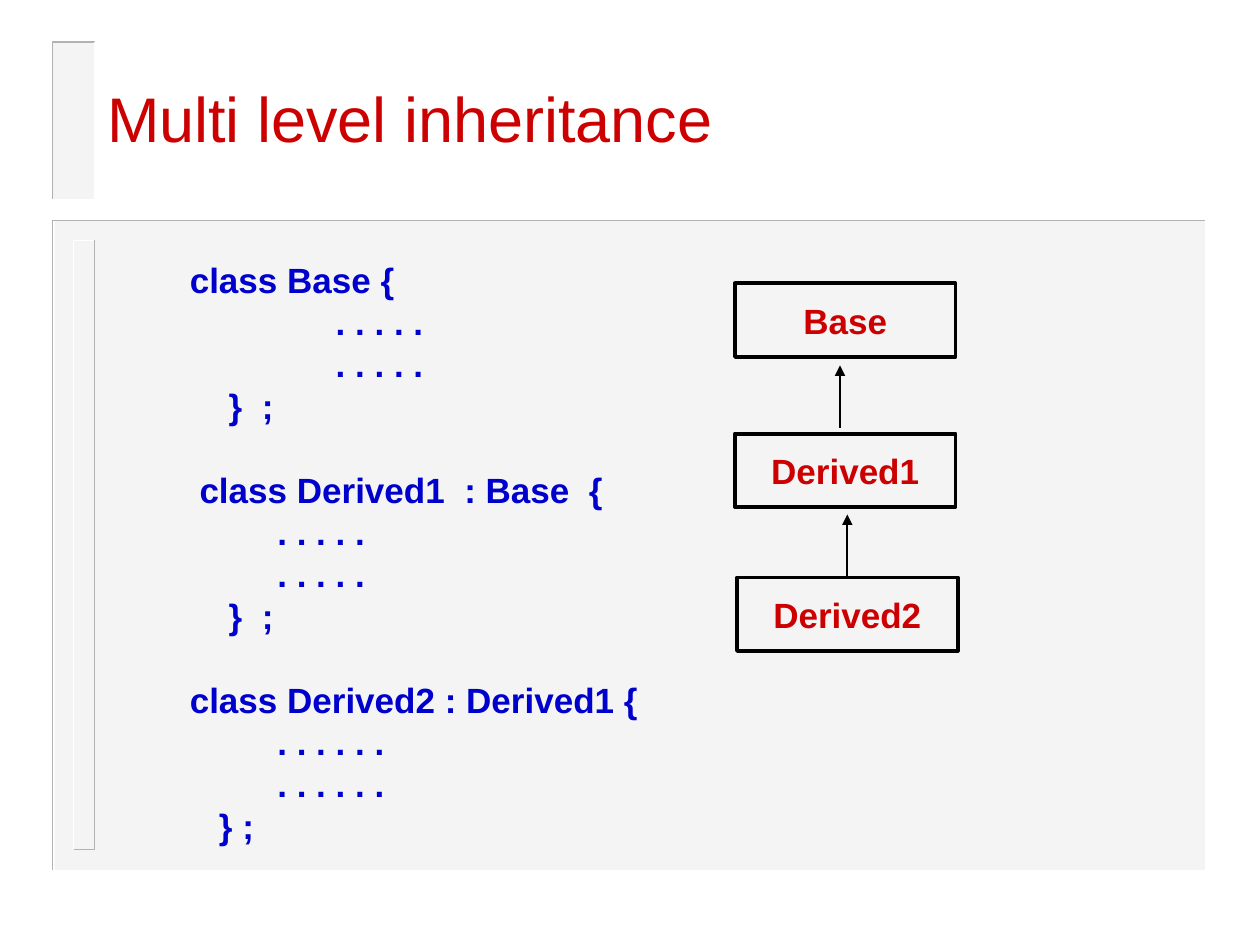
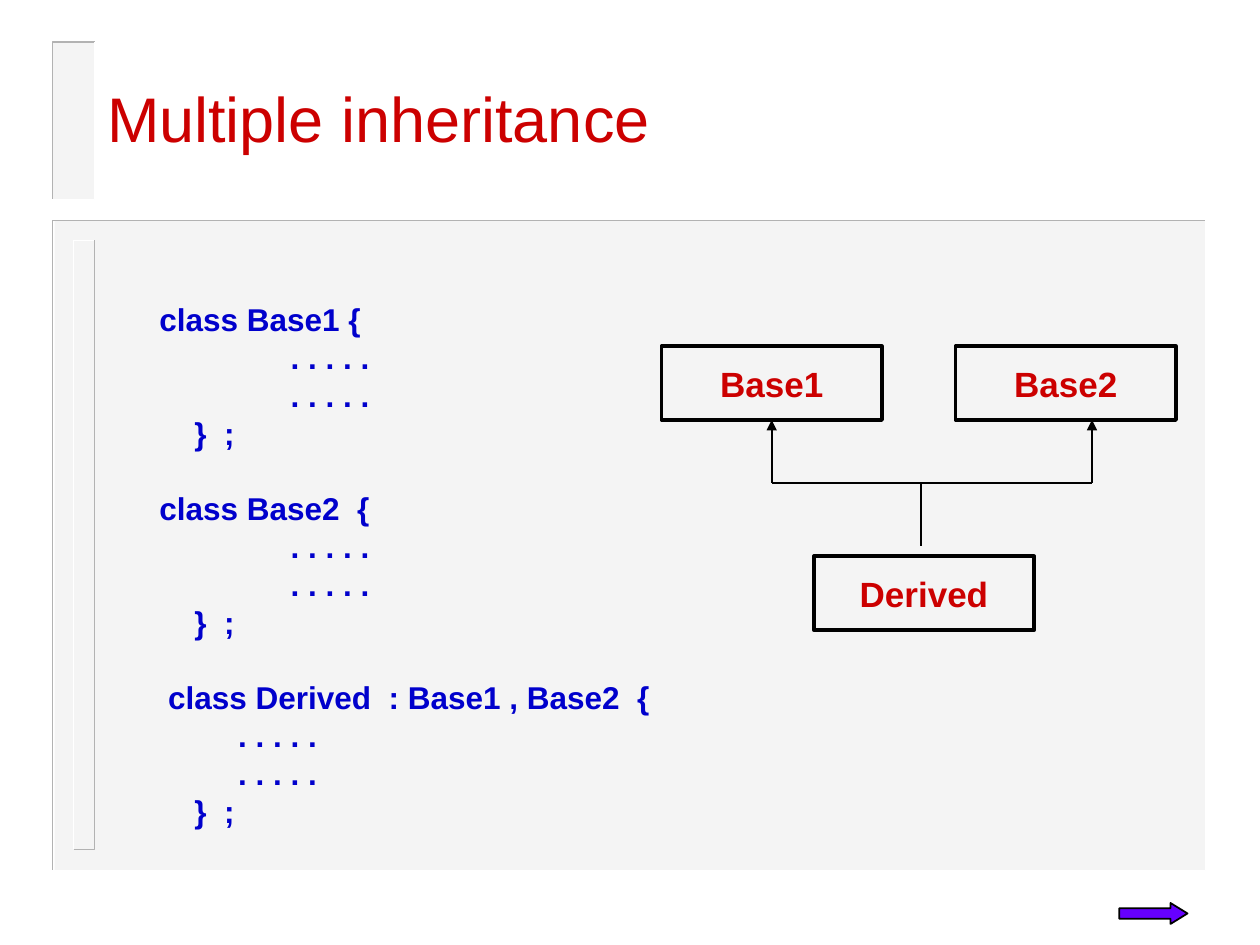
"""Build two slides on multi level and multiple inheritance."""
from lxml.etree import SubElement
from pptx import Presentation
from pptx.dml.color import RGBColor
from pptx.enum.shapes import MSO_CONNECTOR, MSO_SHAPE
from pptx.enum.text import MSO_ANCHOR, MSO_AUTO_SIZE, PP_ALIGN
from pptx.oxml.ns import qn
from pptx.util import Pt

SCALE = 7620
FONT = "Arial"
RED, BLUE, BLACK, WHITE = "CC0000", "0000CC", "000000", "FFFFFF"
PANEL, EDGE, VIOLET = "EAEAEA", "B2B2B2", "6600FF"
TOP, BOTTOM = 0, 2
SPACE_WIDTH = 0.278
LINE_HEIGHT = 1.2


def px(*lengths):
    return [length * SCALE for length in lengths]


def paint(color_format, hex_color):
    color_format.rgb = RGBColor.from_string(hex_color)


class Deck:
    def __init__(self):
        self.presentation = Presentation()
        self.presentation.slide_width, self.presentation.slide_height = px(1200, 900)
        self.slide = None

    def start_slide(self, heading):
        self.slide = self.presentation.slides.add_slide(self.presentation.slide_layouts[5])
        self.panel(52, 210, 1096, 619)
        self.bevel(50, 210, 1148, 829, EDGE, WHITE)
        self.bevel(70, 229, 90, 809, WHITE, EDGE)
        self.panel(50, 40, 40, 150)
        self.bevel(50, 40, 90, 190, EDGE, WHITE)
        title = self.slide.shapes.title
        title.left, title.top, title.width, title.height = px(90, 37, 1110, 150)
        frame = title.text_frame
        frame.auto_size = MSO_AUTO_SIZE.NONE
        frame.vertical_anchor = MSO_ANCHOR.MIDDLE
        frame.paragraphs[0].alignment = PP_ALIGN.LEFT
        self.add_words(frame.paragraphs[0], heading, 36, RED, False)

    def add_words(self, paragraph, words, size, color, bold=True):
        run = paragraph.add_run()
        run.text = words
        run.font.name = FONT
        run.font.size = Pt(size)
        run.font.bold = bold
        paint(run.font.color, color)

    def stroke(self, line, color, width):
        paint(line.color, color)
        line.width = Pt(width)

    def shape(self, preset, left, top, width, height, fill=None):
        shape = self.slide.shapes.add_shape(preset, *px(left, top, width, height))
        shape.shadow.inherit = False
        if fill:
            shape.fill.solid()
            paint(shape.fill.fore_color, fill)
        else:
            shape.fill.background()
        return shape

    def panel(self, left, top, width, height):
        panel = self.shape(MSO_SHAPE.RECTANGLE, left, top, width, height, PANEL)
        panel.line.fill.background()
        tint = panel._element.spPr.find(".//" + qn("a:srgbClr"))
        SubElement(tint, qn("a:alpha"), val="50000")

    def bevel(self, left, top, right, bottom, upper_color, lower_color):
        for corner, color in (((left, top), upper_color), ((right, bottom), lower_color)):
            builder = self.slide.shapes.build_freeform(right, top, scale=SCALE)
            builder.add_line_segments([corner, (left, bottom)], close=False)
            edge = builder.convert_to_shape()
            edge.shadow.inherit = False
            edge.fill.background()
            self.stroke(edge.line, color, 1)

    def class_box(self, name, left, top):
        box = self.shape(MSO_SHAPE.RECTANGLE, left, top, 210, 70)
        self.stroke(box.line, BLACK, 2.25)
        frame = box.text_frame
        frame.word_wrap = False
        frame.vertical_anchor = MSO_ANCHOR.MIDDLE
        frame.paragraphs[0].alignment = PP_ALIGN.CENTER
        self.add_words(frame.paragraphs[0], name, 20, RED)
        return box

    def link(self, start, end, arrow=False):
        link = self.slide.shapes.add_connector(MSO_CONNECTOR.STRAIGHT, *px(*start, *end))
        self.stroke(link.line, BLACK, 1)
        properties = link._element.spPr
        if arrow:
            SubElement(properties.find(qn("a:ln")), qn("a:headEnd"), type="triangle")
        SubElement(properties, qn("a:effectLst"))
        return link

    def code(self, left, top, width, height, size, classes):
        listing = self.slide.shapes.add_textbox(*px(left, top, width, height))
        frame = listing.text_frame
        frame.word_wrap = True
        paragraph = frame.paragraphs[0]
        pitch = Pt(size * LINE_HEIGHT)
        for number, (header, members, closing) in enumerate(classes):
            for row, (indent, words) in enumerate((header, members, members, closing)):
                if number or row:
                    paragraph = frame.add_paragraph()
                paragraph.line_spacing = pitch
                paragraph.space_before = pitch if number and row == 0 else Pt(0)
                margin = Pt(indent * SPACE_WIDTH * size)
                paragraph._p.get_or_add_pPr().set("marL", str(margin))
                self.add_words(paragraph, words, size, BLUE)

    def next_arrow(self):
        arrow = self.shape(MSO_SHAPE.RIGHT_ARROW, 1066, 860, 65, 20, VIOLET)
        arrow.adjustments[0], arrow.adjustments[1] = 0.5, 0.81
        self.stroke(arrow.line, BLACK, 1)


def multi_level(deck):
    deck.start_slide("Multi level inheritance")
    deck.class_box("Base", 700, 270)
    deck.class_box("Derived1", 700, 413)
    derived2 = deck.class_box("Derived2", 702, 550)
    deck.link((800, 348), (800, 408), arrow=True)
    deck.link((807, 490), (807, 550), arrow=True).end_connect(derived2, TOP)
    deck.code(169, 240, 475, 580, 20, [
        ((0, "class Base {"), (15, ". . . . ."), (4, "}  ;")),
        ((1, "class Derived1  : Base  {"), (9, ". . . . ."), (4, "}  ;")),
        ((0, "class Derived2 : Derived1 {"), (9, ". . . . . ."), (3, "} ;")),
    ])


def multiple(deck):
    deck.start_slide("Multiple inheritance")
    base1 = deck.class_box("Base1", 630, 330)
    deck.class_box("Base2", 910, 330)
    deck.class_box("Derived", 775, 530)
    deck.link((735, 400), (735, 460), arrow=True).begin_connect(base1, BOTTOM)
    deck.link((1040, 400), (1040, 460), arrow=True)
    deck.link((735, 460), (1040, 460))
    deck.link((877, 460), (877, 520))
    deck.code(140, 280, 515, 540, 18, [
        ((0, "class Base1 {"), (15, ". . . . ."), (4, "}  ;")),
        ((0, "class Base2  {"), (15, ". . . . ."), (4, "}  ;")),
        ((1, "class Derived  : Base1 , Base2  {"), (9, ". . . . ."), (4, "}  ;")),
    ])
    deck.next_arrow()


def main():
    deck = Deck()
    multi_level(deck)
    multiple(deck)
    deck.presentation.save("out.pptx")


if __name__ == "__main__":
    main()
